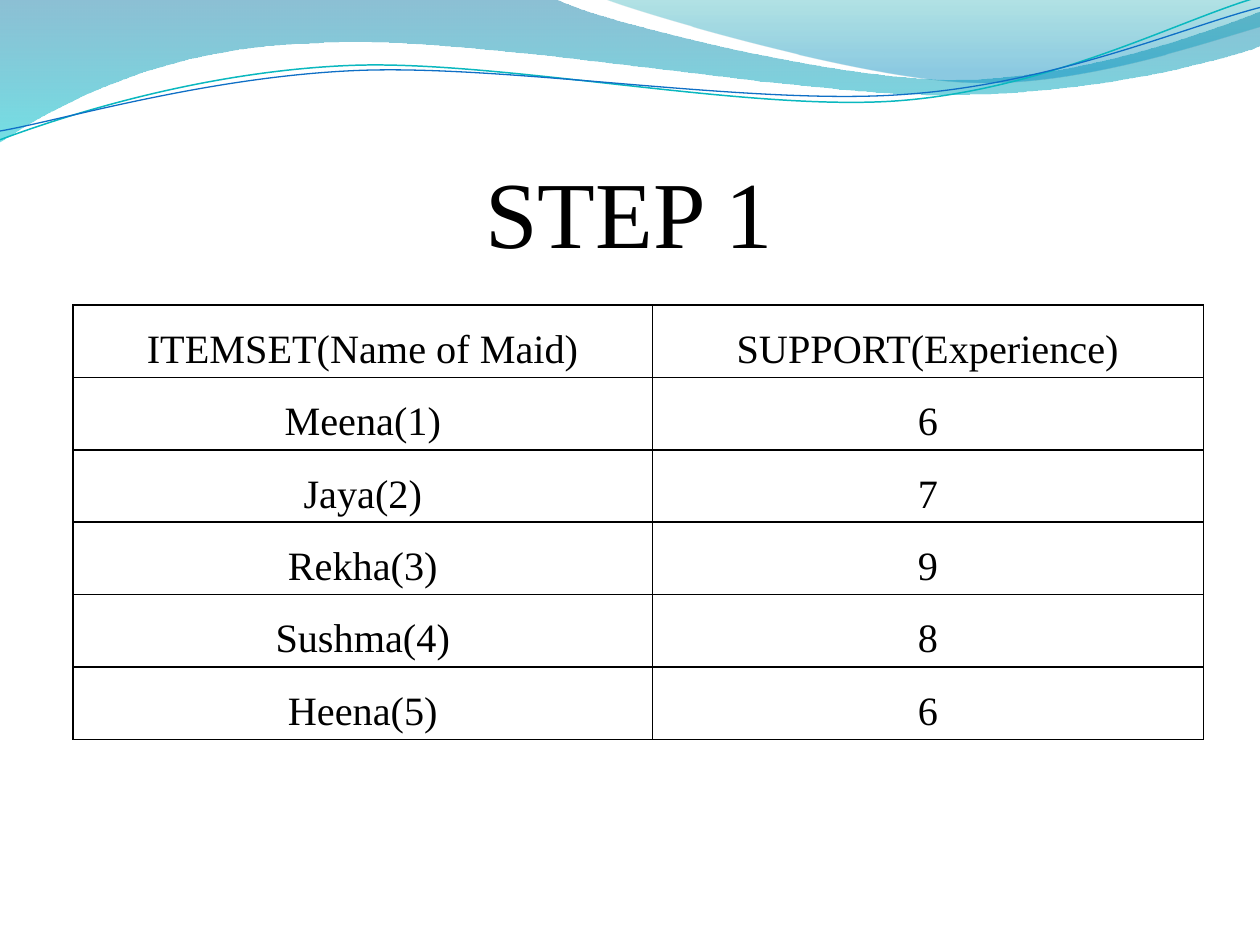
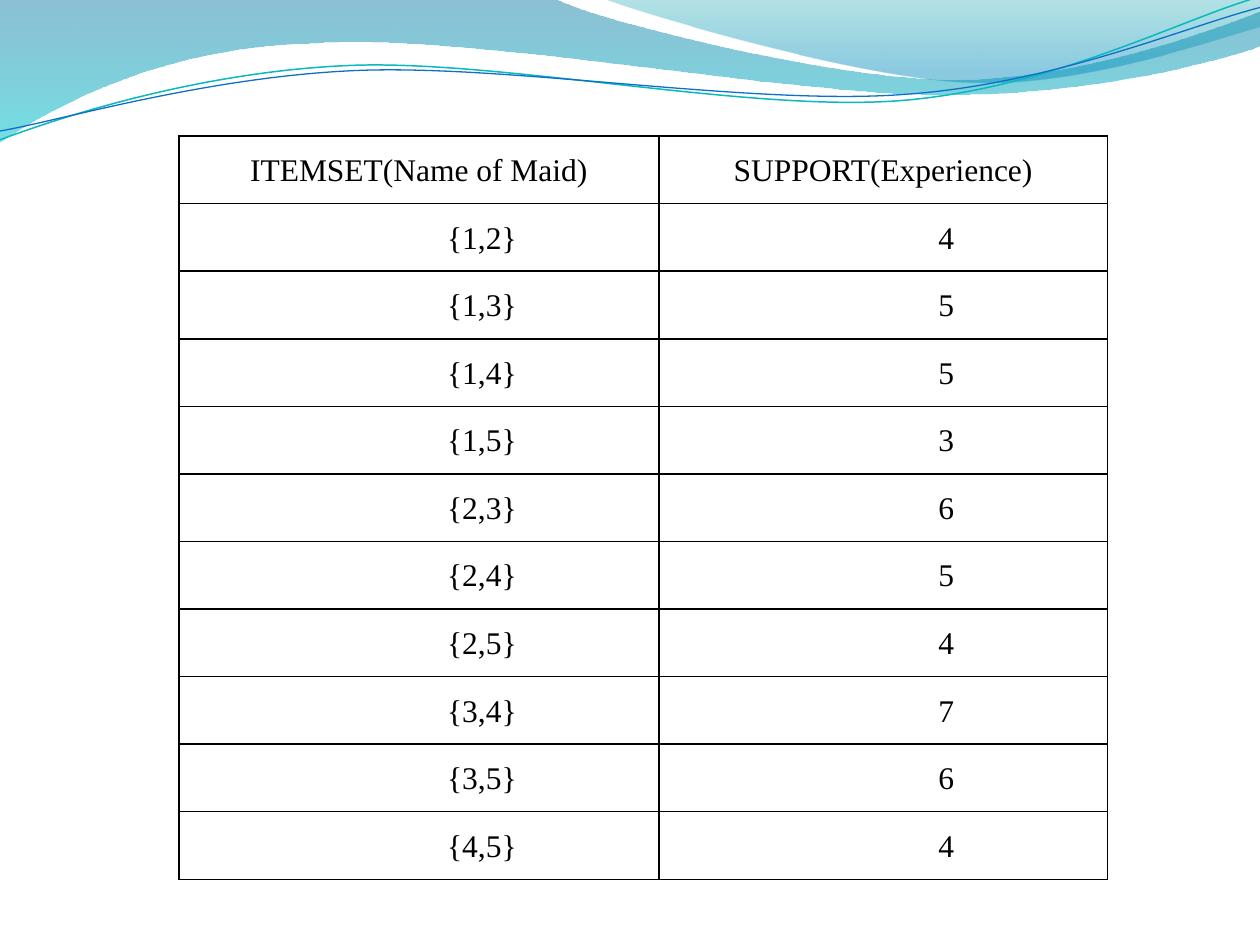
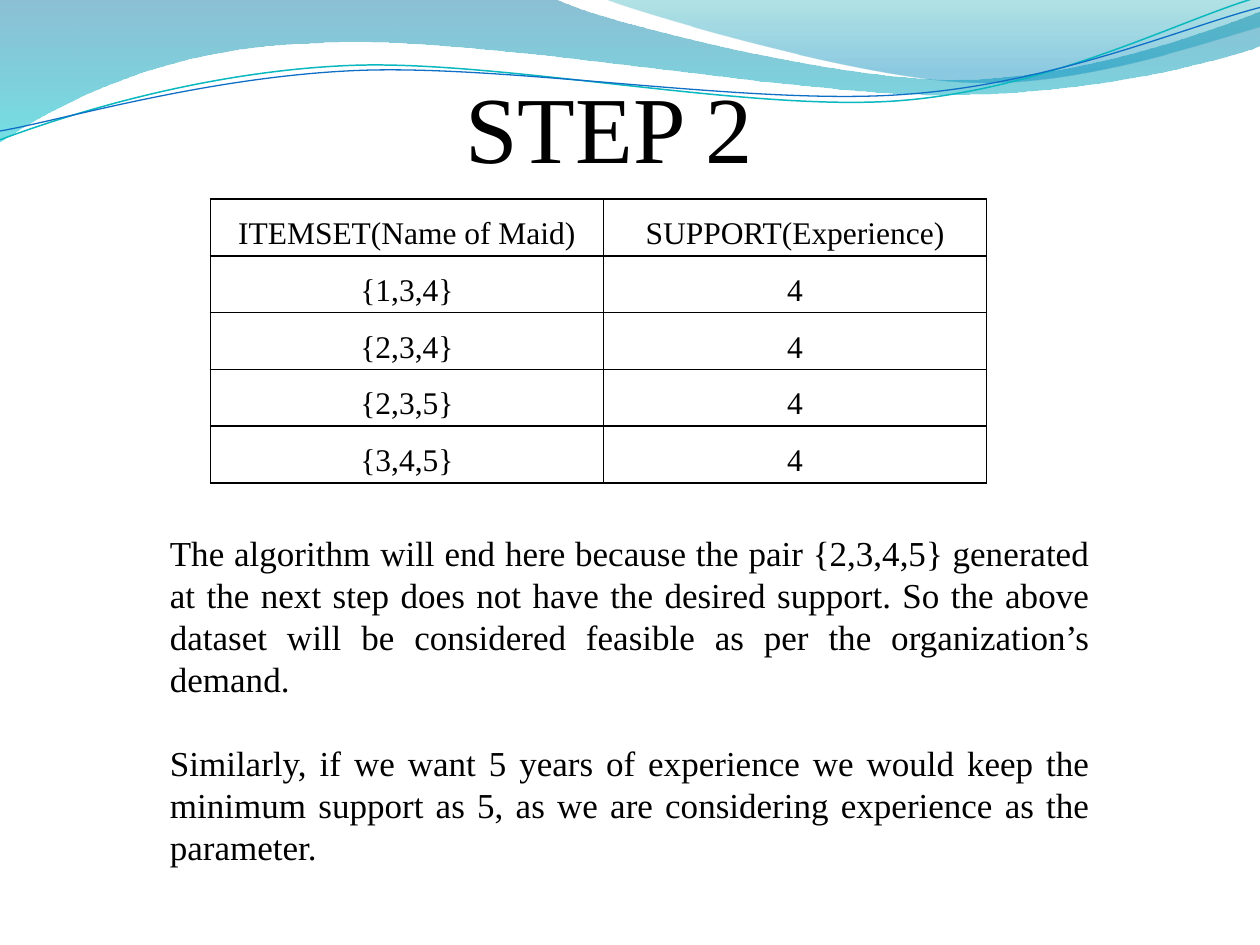
from math import cos, radians, sin
from lxml.etree import SubElement
from pptx import Presentation
from pptx.dml.color import RGBColor
from pptx.enum.text import MSO_AUTO_SIZE, PP_ALIGN
from pptx.oxml.ns import qn
from pptx.util import Inches, Pt

# Shared look
FONT = "Times New Roman"
BLACK = RGBColor(0, 0, 0)
DEEP = RGBColor(0x00, 0x74, 0xA1)
AQUA = RGBColor(0x00, 0xC6, 0xCF)
TEAL = RGBColor(0x00, 0xA1, 0xA9)
BLUE = RGBColor(0x00, 0x8B, 0xBF)
CYAN = RGBColor(0x0A, 0xB8, 0xBF)
NAVY = RGBColor(0x0F, 0x6F, 0xC6)
TILT = -2.7

# Bands: start, then corners (2 numbers) or curves (6 numbers);
# stops are position, colour, opacity in percent
BANDS = [
    dict(path=[(0, 0), (4.4, -0.01), (4.76, 0.17, 6.64, 0.63, 7.58, 0.63),
               (8.53, 0.63, 9.58, 0.26, 10, 0.09), (10.01, 0.36),
               (9.83, 0.44, 8.7, 0.76, 7.46, 0.75),
               (6.22, 0.75, 3.82, 0.28, 2.57, 0.34),
               (1.29, 0.36, 0.46, 0.83, -0.01, 1.13), (0, 0)],
         stops=[(0, DEEP, 45), (1, AQUA, 55)]),
    dict(path=[(4.79, -0.01), (5.09, 0.11, 6.82, 0.62, 7.69, 0.65),
               (8.56, 0.69, 9.61, 0.32, 10, 0.21), (10, 0), (4.79, -0.01)],
         stops=[(0, TEAL, 30), (0.8, BLUE, 45)]),
]
# Thin tilted lines: path as seen, colour, width
WAVES = [
    ([(0, 1.11), (0.48, 0.93, 1.58, 0.57, 2.77, 0.52),
      (3.95, 0.47, 5.93, 0.89, 7.13, 0.8),
      (8.33, 0.71, 9.38, 0.15, 9.98, -0.02)], CYAN, 0.85),
    ([(0, 1.04), (0.47, 0.96, 1.64, 0.61, 2.83, 0.56),
      (4.03, 0.51, 5.97, 0.84, 7.17, 0.75),
      (8.36, 0.67, 9.41, 0.21, 10, 0.06)], NAVY, 0.75),
]

# Content
HEAD = ("ITEMSET(Name of Maid)", "SUPPORT(Experience)")
MAIDS = [("Meena(1)", "6"), ("Jaya(2)", "7"), ("Rekha(3)", "9"),
         ("Sushma(4)", "8"), ("Heena(5)", "6")]
PAIRS = [("{1,2}", "4"), ("{1,3}", "5"), ("{1,4}", "5"), ("{1,5}", "3"),
         ("{2,3}", "6"), ("{2,4}", "5"), ("{2,5}", "4"), ("{3,4}", "7"),
         ("{3,5}", "6"), ("{4,5}", "4")]
TRIOS = [("{1,3,4}", "4"), ("{2,3,4}", "4"), ("{2,3,5}", "4"),
         ("{3,4,5}", "4")]
NOTES = [
    "The algorithm will end here because the pair {2,3,4,5} generated at the "
    "next step does not have the desired support. So the above dataset will "
    "be considered feasible as per the organization’s demand.",
    "Similarly, if we want 5 years of experience we would keep the minimum "
    "support as 5, as we are considering experience as the parameter.",
]
SLIDES = [
    dict(title="STEP 1", at=(2.58, 1.17, 4.83, 1.01),
         grid=dict(rows=MAIDS, at=(0.58, 2.42), cols=(4.6, 4.37),
                   high=3.45, size=23, pad=0.14, dent=0)),
    dict(grid=dict(rows=PAIRS, at=(1.42, 1.08), cols=(3.81, 3.56),
                   high=5.9, size=18, pad=0.07, dent=1)),
    dict(title="STEP 2", at=(3.58, 0.5, 2.51, 1.01), wrap=False,
         grid=dict(rows=TRIOS, at=(1.67, 1.58), cols=(3.12, 3.04),
                   high=2.25, size=18, pad=0.07, dent=0),
         notes=NOTES, area=(1.25, 4.17, 7.5, 3.13)),
]


def points(path):
    return [part[i:i + 2] for part in path for i in range(0, len(part), 2)]


def turn(pts, deg):
    """Rotate points clockwise about the slide's corner."""
    c, s = cos(radians(deg)), sin(radians(deg))
    return [(x * c - y * s, x * s + y * c) for x, y in pts]


def outline(slide, path, pts, close):
    """Draw through all points, then merge each curve's three into one."""
    spots = [(Inches(x), Inches(y)) for x, y in pts]
    pen = slide.shapes.build_freeform(*spots[0], scale=1.0)
    pen.add_line_segments(spots[1:], close=close)
    shape = pen.convert_to_shape()
    shape.shadow.inherit = False
    lines = shape._element.iter(qn("a:lnTo"))
    lines = iter(list(lines))
    for part in path[1:]:
        first = next(lines)
        if len(part) == 6:
            curve = first.makeelement(qn("a:cubicBezTo"))
            first.addprevious(curve)
            for line in (first, next(lines), next(lines)):
                curve.append(line[0])
                line.getparent().remove(line)
    return shape


def backdrop(slide):
    for band in BANDS:
        path = band["path"]
        shape = outline(slide, path, points(path), True)
        shape.line.fill.background()
        shape.fill.gradient()
        shape.fill.gradient_angle = 270
        for stop, (pos, tone, _) in zip(shape.fill.gradient_stops,
                                        band["stops"]):
            stop.position = pos
            stop.color.rgb = tone
        tones = shape._element.spPr.iter(qn("a:srgbClr"))
        for node, (_, _, share) in zip(tones, band["stops"]):
            SubElement(node, qn("a:alpha"), val=str(share * 1000))
    for path, tone, width in WAVES:
        flat = turn(points(path), -TILT)
        shape = outline(slide, path, flat, False)
        # Carry the centre back to where the tilted line belongs
        wide, high = shape.width, shape.height
        mid = (shape.left + wide / 2, shape.top + high / 2)
        (x, y), = turn([mid], TILT)
        shape.left, shape.top = round(x - wide / 2), round(y - high / 2)
        shape.rotation = TILT
        shape.fill.background()
        shape.line.color.rgb = tone
        shape.line.width = Pt(width)


def share(slide, master):
    """Move the drawn backdrop to the master, for every slide."""
    for shape in list(slide.shapes):
        master.shapes._spTree.append(shape._element)


def style(para, size, align):
    para.alignment = align
    para.font.size = Pt(size)
    para.font.name = FONT
    para.font.color.rgb = BLACK


def border(cell):
    props = cell._tc.get_or_add_tcPr()
    for side in ("lnL", "lnR", "lnT", "lnB"):
        line = SubElement(props, qn("a:" + side), w=str(Pt(1)))
        fill = SubElement(line, qn("a:solidFill"))
        SubElement(fill, qn("a:srgbClr"), val=str(BLACK))


def table(slide, rows, at, cols, high, size, pad, dent):
    rows = [HEAD] + rows
    box = [Inches(v) for v in (*at, sum(cols), high)]
    grid = slide.shapes.add_table(len(rows), len(cols), *box).table
    grid.first_row = grid.horz_banding = False
    for col, width in zip(grid.columns, cols):
        col.width = Inches(width)
    for r, row in enumerate(rows):
        grid.rows[r].height = Inches(high / len(rows))
        for c, text in enumerate(row):
            cell = grid.cell(r, c)
            cell.margin_left = cell.margin_right = Inches(pad)
            cell.margin_top = cell.margin_bottom = 0
            border(cell)
            cell.fill.background()
            para = cell.text_frame.paragraphs[0]
            para.text = text
            style(para, size, PP_ALIGN.CENTER)
            para.line_spacing = 1.5
            if r and dent:
                props = para._p.get_or_add_pPr()
                props.set("marL", str(Inches(dent)))
                props.set("indent", "0")


def words(slide, texts, at, size, align, wrap=True):
    box = slide.shapes.add_textbox(*[Inches(v) for v in at])
    frame = box.text_frame
    frame.word_wrap = wrap
    frame.auto_size = MSO_AUTO_SIZE.SHAPE_TO_FIT_TEXT
    for i, text in enumerate(texts):
        para = frame.add_paragraph() if i else frame.paragraphs[0]
        para.text = text
        style(para, size, align)
    return frame.paragraphs


# Build the slides
deck = Presentation()
deck.slide_width, deck.slide_height = Inches(10), Inches(7.5)
for n, item in enumerate(SLIDES):
    slide = deck.slides.add_slide(deck.slide_layouts[6])
    if n == 0:
        backdrop(slide)
        share(slide, deck.slide_master)
    table(slide, **item["grid"])
    if "title" in item:
        words(slide, [item["title"]], item["at"], 54, PP_ALIGN.CENTER,
              item.get("wrap", True))
    if "notes" in item:
        paras = words(slide, item["notes"], item["area"], 20,
                      PP_ALIGN.JUSTIFY)
        for para in paras:
            para.line_spacing = Pt(24)
        paras[-1].space_before = Pt(24)
deck.save("out.pptx")
